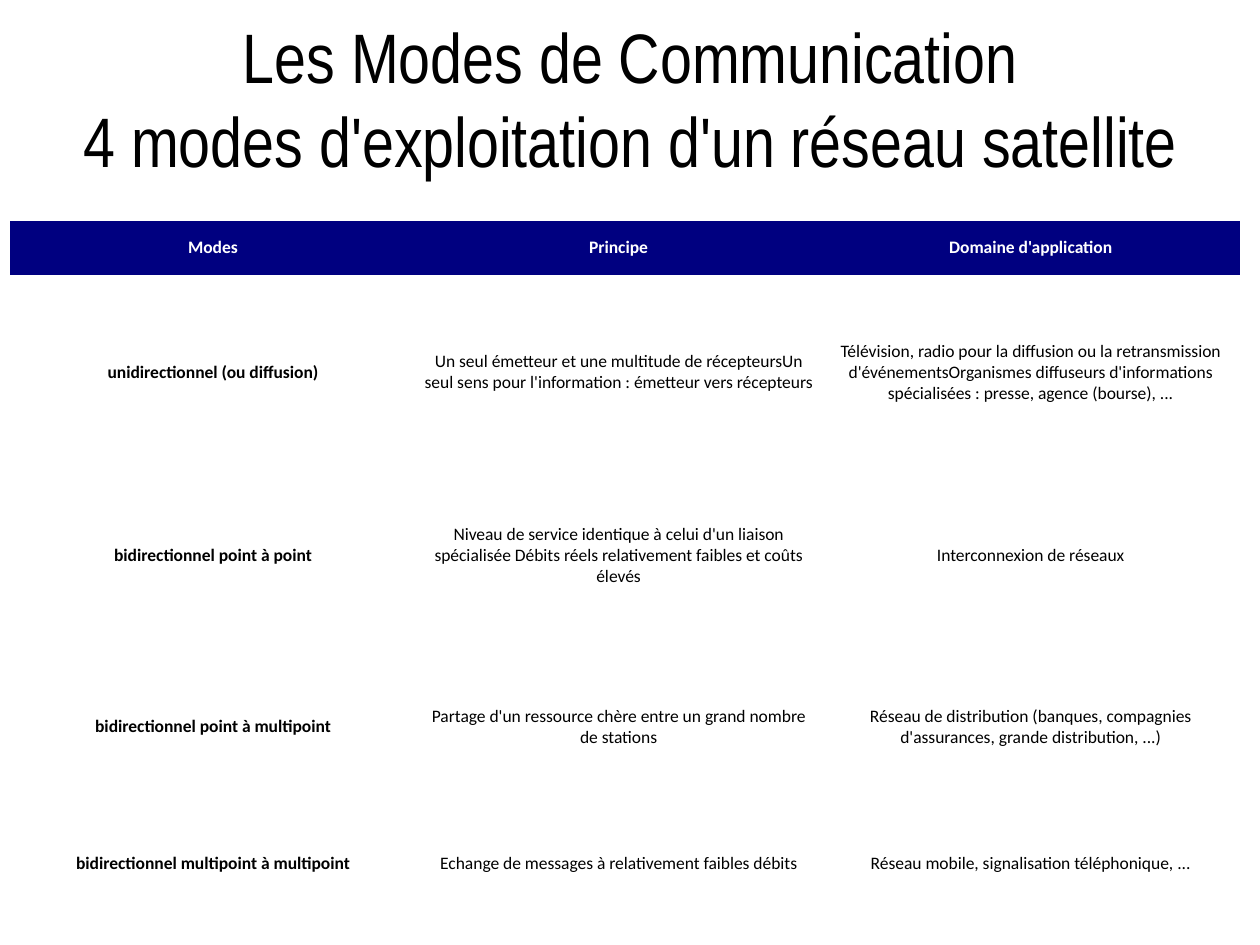
from pptx import Presentation
from pptx.dml.color import RGBColor as Rgb
from pptx.enum.text import MSO_ANCHOR as Anchor, PP_ALIGN as Align
from pptx.util import Inches, Pt

HUES = {"navy": "000080", "white": "FFFFFF", "black": "000000"}
NO_GRID = "{2D5ABB26-0587-4C30-8999-92F81FD0307C}"
TITLE = "Les Modes de Communication\n4 modes d'exploitation d'un réseau satellite"
COLS = [3.22, 3.22, 3.32]
ROWS = [0.43, 1.55, 1.36, 1.36, 0.81]
MODES = [
    ["Modes", "Principe", "Domaine d'application"],
    ["unidirectionnel (ou diffusion)",
     "Un seul émetteur et une multitude de récepteursUn seul sens pour "
     "l'information : émetteur vers récepteurs",
     "Télévision, radio pour la diffusion ou la retransmission "
     "d'événementsOrganismes diffuseurs d'informations spécialisées : "
     "presse, agence (bourse), ..."],
    ["bidirectionnel point à point",
     "Niveau de service identique à celui d'un liaison spécialisée "
     "Débits réels relativement faibles et coûts élevés",
     "Interconnexion de réseaux"],
    ["bidirectionnel point à multipoint",
     "Partage d'un ressource chère entre un grand nombre de stations",
     "Réseau de distribution (banques, compagnies d'assurances, "
     "grande distribution, ...)"],
    ["bidirectionnel multipoint à multipoint",
     "Echange de messages à relativement faibles débits",
     "Réseau mobile, signalisation téléphonique, ..."],
]


def color(name):
    return Rgb.from_string(HUES[name])


def write(para, text, face, size, hue, bold=False):
    para.text = text
    para.alignment = Align.CENTER
    for run in para.runs:
        font = run.font
        font.name, font.size, font.bold = face, Pt(size), bold
        font.color.rgb = color(hue)


def add_title(slide, left, top, width, height):
    box = slide.shapes.add_textbox(
        Inches(left), Inches(top), Inches(width), Inches(height))
    frame = box.text_frame
    frame.word_wrap = True
    frame.vertical_anchor = Anchor.MIDDLE
    write(frame.paragraphs[0], TITLE, "Arial Narrow", 40, "black")


def fill_cell(cell, text, head, bold):
    cell.vertical_anchor = Anchor.MIDDLE
    cell.margin_left = cell.margin_right = Inches(0.06)
    cell.margin_top = cell.margin_bottom = Inches(0.05)
    if head:
        cell.fill.solid()
        cell.fill.fore_color.rgb = color("navy")
    else:
        cell.fill.background()
    write(cell.text_frame.paragraphs[0], text, "Calibri", 10,
          "white" if head else "black", bold)


def add_modes(slide, left, top):
    frame = slide.shapes.add_table(
        len(ROWS), len(COLS), Inches(left), Inches(top),
        Inches(sum(COLS)), Inches(sum(ROWS)))
    frame.element.xpath(".//a:tableStyleId")[0].text = NO_GRID
    table = frame.table
    table.first_row = table.horz_banding = False
    for col, width in zip(table.columns, COLS):
        col.width = Inches(width)
    for r, (row, height) in enumerate(zip(table.rows, ROWS)):
        row.height = Inches(height)
        for c, text in enumerate(MODES[r]):
            fill_cell(table.cell(r, c), text, r == 0, r == 0 or c == 0)


def main():
    deck = Presentation()
    deck.slide_width, deck.slide_height = Inches(10), Inches(7.5)
    slide = deck.slides.add_slide(deck.slide_layouts[6])
    add_title(slide, 0, 0, 10, 1.55)
    add_modes(slide, 0.08, 1.75)
    deck.save("out.pptx")


if __name__ == "__main__":
    main()
